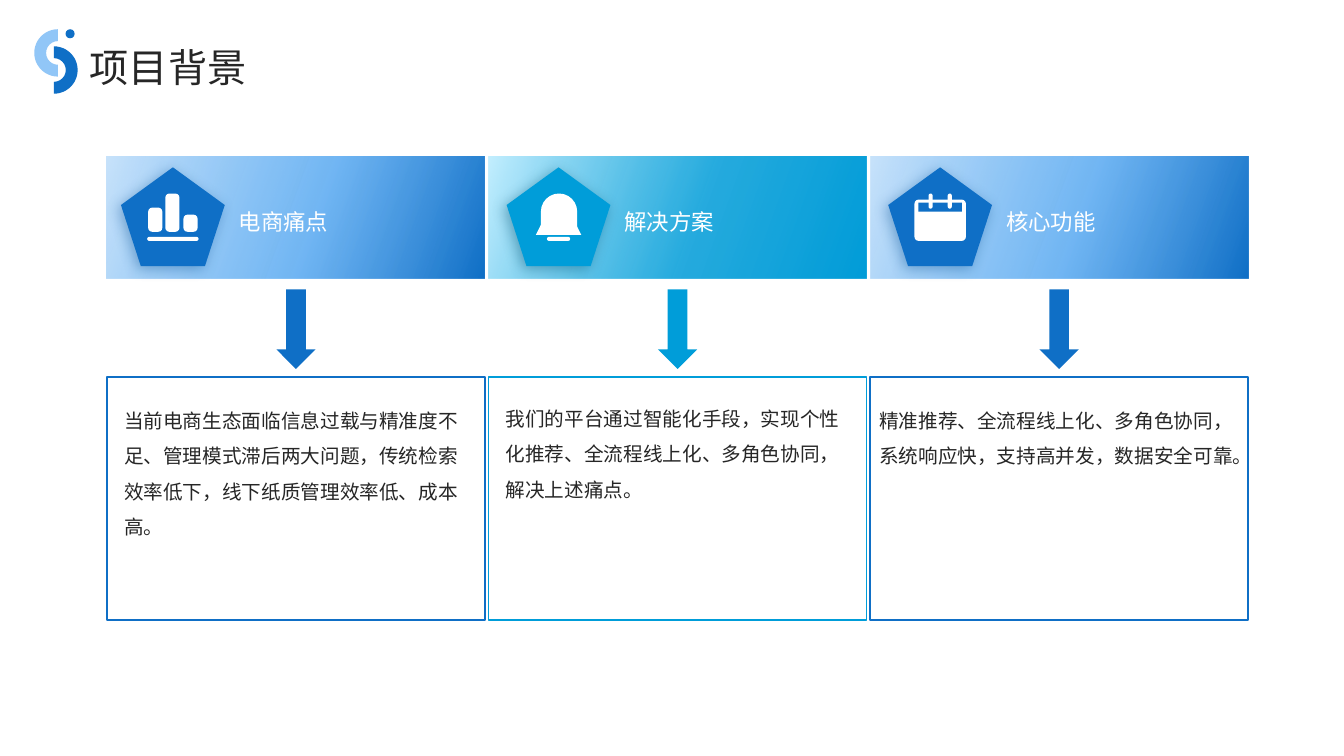
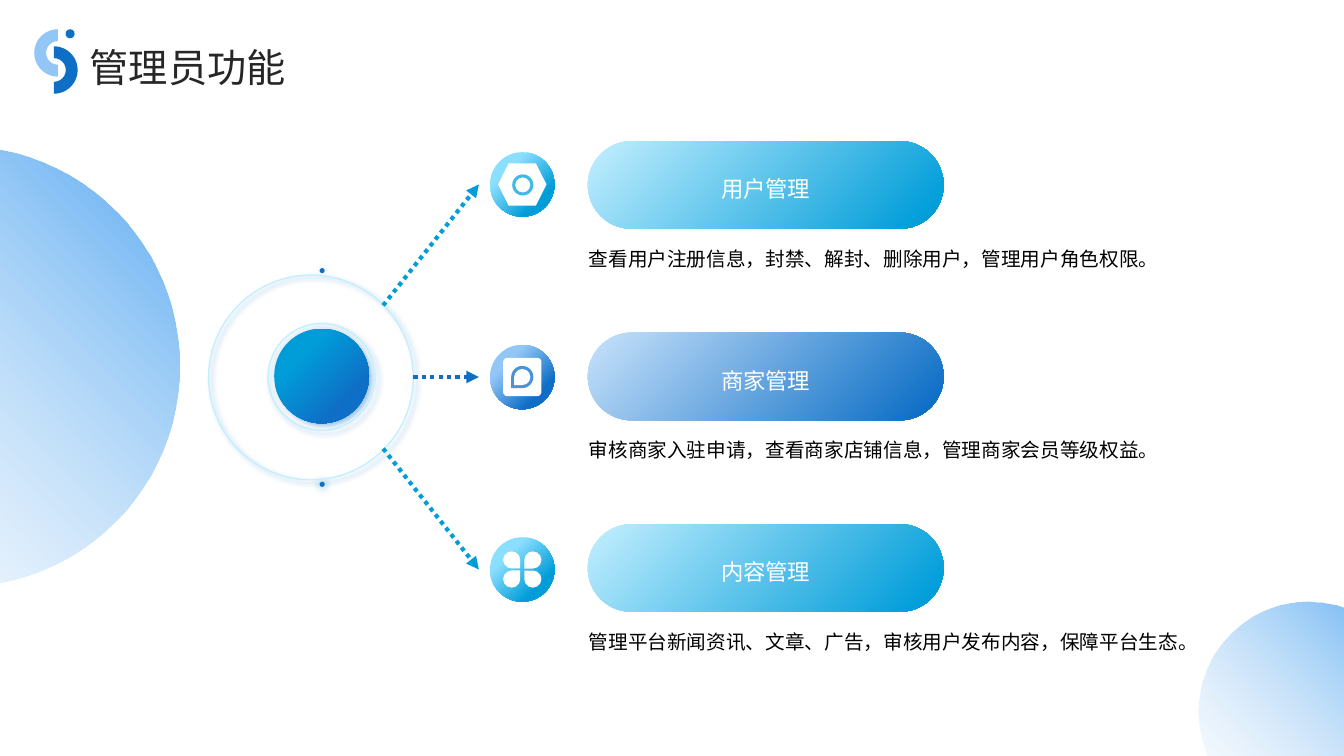
from lxml.etree import SubElement
from pptx import Presentation
from pptx.dml.color import RGBColor
from pptx.enum.dml import MSO_LINE
from pptx.enum.shapes import MSO_CONNECTOR, MSO_SHAPE as S
from pptx.enum.text import MSO_ANCHOR, MSO_AUTO_SIZE, PP_ALIGN
from pptx.oxml.ns import qn
from pptx.util import Inches, Pt

FONT = "Noto Sans CJK SC"
WHITE, BLACK, INK = "FFFFFF", "000000", "262626"
BLUE, SKY, PALE, MIST = "0F6FC6", "91C6F7", "C8E3FB", "59AAF2"
CYAN, AQUA, ICE = "009DD9", "8ADFFF", "C4EFFF"

# Icon parts: shape, left, top, width, height, colour, turn (inches from the icon's corner)
BARS = [
    (S.ROUNDED_RECTANGLE, 0.01, 0.14, 0.14, 0.24, WHITE, 0),
    (S.ROUNDED_RECTANGLE, 0.18, 0, 0.14, 0.38, WHITE, 0),
    (S.ROUNDED_RECTANGLE, 0.36, 0.21, 0.14, 0.17, WHITE, 0),
    (S.ROUNDED_RECTANGLE, 0, 0.43, 0.51, 0.04, WHITE, 0),
]
BELL = [
    (S.ROUND_2_SAME_RECTANGLE, 0.05, 0, 0.36, 0.36, WHITE, 0),
    (S.TRAPEZOID, 0, 0.31, 0.45, 0.1, WHITE, 0),
    (S.ROUNDED_RECTANGLE, 0.11, 0.43, 0.23, 0.04, WHITE, 0),
]
DATES = [
    (S.ROUNDED_RECTANGLE, 0, 0.06, 0.51, 0.41, WHITE, 0),
    (S.RECTANGLE, 0.04, 0.09, 0.43, 0.09, BLUE, 0),
    (S.ROUNDED_RECTANGLE, 0.14, 0, 0.04, 0.15, WHITE, 0),
    (S.ROUNDED_RECTANGLE, 0.33, 0, 0.04, 0.15, WHITE, 0),
]
NUT = [
    (S.HEXAGON, 0, 0, 0.48, 0.42, WHITE, 0),
    (S.DONUT, 0.14, 0.11, 0.21, 0.21, "3FBAE6", 0),
]
PEN = [
    (S.ROUNDED_RECTANGLE, 0, 0, 0.38, 0.38, WHITE, 0),
    (S.TEAR, 0.08, 0.08, 0.22, 0.22, "4A93DB", 180),
    (S.TEAR, 0.11, 0.11, 0.16, 0.16, WHITE, 180),
]
CLOVER = [
    (S.TEAR, x, y, 0.17, 0.17, WHITE, turn)
    for x, y, turn in [(0, 0, 90), (0.21, 0, 180), (0, 0.19, 0), (0.21, 0.19, 270)]
]

# Heading, body, colour, band stops, shadow, pentagon offset, icon, icon offset, pad, body top
BLUE_BAND = [(0, PALE), (55, MIST, 85), (100, BLUE)]
CYAN_BAND = [(0, ICE), (55, CYAN, 85), (100, CYAN)]
COLUMNS = [
    ("电商痛点", "当前电商生态面临信息过载与精准度不足、管理模式滞后两大问题，传统检索效率低下，线下纸质管理效率低、成本高。",
     BLUE, BLUE_BAND, "0B5394", 0.14, BARS, 0.26, 0.17, 3.94),
    ("解决方案", "我们的平台通过智能化手段，实现个性化推荐、全流程线上化、多角色协同，解决上述痛点。",
     CYAN, CYAN_BAND, "004E6C", 0.18, BELL, 0.29, 0.17, 3.92),
    ("核心功能", "精准推荐、全流程线上化、多角色协同，系统响应快，支持高并发，数据安全可靠。",
     BLUE, BLUE_BAND, "0B5394", 0.18, DATES, 0.26, 0.09, 3.94),
]
# Heading, body, pale colour, bright colour, strong colour, icon, icon size, arrow start
DUTIES = [
    ("用户管理", "查看用户注册信息，封禁、解封、删除用户，管理用户角色权限。",
     ICE, AQUA, CYAN, NUT, (0.48, 0.42), 3.8),
    ("商家管理", "审核商家入驻申请，查看商家店铺信息，管理商家会员等级权益。",
     PALE, SKY, BLUE, PEN, (0.38, 0.38), 4.1),
    ("内容管理", "管理平台新闻资讯、文章、广告，审核用户发布内容，保障平台生态。",
     ICE, AQUA, CYAN, CLOVER, (0.38, 0.36), 3.8),
]


def rgb(code):
    return RGBColor.from_string(code)


def tint(parent, code, alpha=100):
    """Add a colour element, with its opacity in percent."""
    node = SubElement(parent, qn("a:srgbClr"), val=code)
    if alpha < 100:
        SubElement(node, qn("a:alpha"), val=str(alpha * 1000))


def blend(shape, stops, angle):
    """Fill with a linear gradient of (percent, colour, opacity) stops."""
    shape.fill.gradient()
    grad = shape._element.spPr.find(qn("a:gradFill"))
    for child in list(grad):
        grad.remove(child)
    group = SubElement(grad, qn("a:gsLst"))
    for pos, *colour in stops:
        tint(SubElement(group, qn("a:gs"), pos=str(pos * 1000)), *colour)
    SubElement(grad, qn("a:lin"), ang=str(angle * 60000), scaled="0")


def draw(slide, kind, x, y, w, h, fill=None, line=None, grad=None, shade=None, turn=0):
    """Add a shape; grad is (stops, angle), shade is (colour, opacity, blur, distance, angle)."""
    shape = slide.shapes.add_shape(kind, Inches(x), Inches(y), Inches(w), Inches(h))
    shape.rotation = turn
    shape.shadow.inherit = False
    if grad:
        blend(shape, *grad)
    elif fill:
        shape.fill.solid()
        shape.fill.fore_color.rgb = rgb(fill)
    else:
        shape.fill.background()
    if line:
        shape.line.color.rgb = rgb(line)
        shape.line.width = Pt(1)
    else:
        shape.line.fill.background()
    if shade:
        code, alpha, blur, dist, angle = shade
        outer = SubElement(
            shape._element.spPr.find(qn("a:effectLst")), qn("a:outerShdw"),
            blurRad=str(Pt(blur)), dist=str(Pt(dist)), dir=str(angle * 60000),
            algn="ctr", rotWithShape="0")
        tint(outer, code, alpha)
    return shape


def write(shape, text, size, colour, gap, align=PP_ALIGN.LEFT, anchor=MSO_ANCHOR.TOP, inset=0):
    frame = shape.text_frame
    frame.word_wrap = True
    frame.auto_size = MSO_AUTO_SIZE.NONE
    frame.vertical_anchor = anchor
    frame.margin_left = frame.margin_right = Inches(inset)
    frame.margin_top = frame.margin_bottom = Inches(inset / 2)
    frame.text = text
    para = frame.paragraphs[0]
    para.alignment = align
    para.line_spacing = gap
    font = para.font
    font.size, font.name = Pt(size), FONT
    font.color.rgb = rgb(colour)
    SubElement(para._p.pPr.find(qn("a:defRPr")), qn("a:ea"), typeface=FONT)


def label(slide, x, y, w, h, *args, **style):
    box = slide.shapes.add_textbox(Inches(x), Inches(y), Inches(w), Inches(h))
    write(box, *args, **style)


def icon(slide, parts, x, y):
    for kind, dx, dy, w, h, colour, turn in parts:
        part = draw(slide, kind, x + dx, y + dy, w, h, colour, turn=turn)
        if kind == S.ROUNDED_RECTANGLE:
            part.adjustments[0] = min(0.5, 0.04 / min(w, h))
        elif kind == S.ROUND_2_SAME_RECTANGLE:
            part.adjustments[0] = 0.5
        elif kind == S.TRAPEZOID:
            part.adjustments[0] = 0.5
        elif kind == S.DONUT:
            part.adjustments[0] = 0.14


def start(deck, text):
    """Add a slide with its title and the ornament beside it."""
    slide = deck.slides.add_slide(deck.slide_layouts[5])
    title = slide.shapes.title
    title.left, title.top = Inches(0.89), Inches(0.29)
    title.width, title.height = Inches(11.35), Inches(0.59)
    write(title, text, 28, INK, 1.3)
    draw(slide, S.BLOCK_ARC, 0.34, 0.29, 0.47, 0.47, SKY, turn=270)
    draw(slide, S.BLOCK_ARC, 0.3, 0.46, 0.47, 0.47, BLUE, turn=90)
    draw(slide, S.OVAL, 0.65, 0.29, 0.09, 0.09, BLUE)
    return slide


def arrow(slide, x1, y1, x2, y2, colour):
    link = slide.shapes.add_connector(
        MSO_CONNECTOR.STRAIGHT, Inches(x1), Inches(y1), Inches(x2), Inches(y2))
    link.line.color.rgb = rgb(colour)
    link.line.width = Pt(3)
    link.line.dash_style = MSO_LINE.ROUND_DOT
    SubElement(link.line._get_or_add_ln(), qn("a:tailEnd"), type="triangle")
    SubElement(link._element.spPr, qn("a:effectLst"))


def causes(deck):
    slide = start(deck, "项目背景")
    left, wide, step = 1.06, 3.75, 3.785
    for i, (head, body, colour, stops, dark, shift, parts, inner, pad, top) in enumerate(COLUMNS):
        x = left + i * step
        draw(slide, S.RECTANGLE, x, 1.55, wide, 1.21, grad=(stops, 20))
        draw(slide, S.RECTANGLE, x, 3.74, wide, 2.41, line=colour)
        draw(slide, S.REGULAR_PENTAGON, x + shift, 1.66, 1.03, 0.98, colour,
             shade=(dark, 40, 10, 3, 135))
        icon(slide, parts, x + shift + inner, 1.92)
        draw(slide, S.DOWN_ARROW, x + (wide - 0.39) / 2, 2.87, 0.39, 0.79, colour)
        label(slide, x + pad, top, wide - 2 * pad, 1.59, body, 14, INK, 1.5)
        label(slide, x + shift + 1.07, 1.69, 2.49, 0.96, head, 16, WHITE, 1.2,
              anchor=MSO_ANCHOR.MIDDLE, inset=0.1)


def duties(deck):
    slide = start(deck, "管理员功能")
    fade = ([(0, MIST), (100, PALE, 0)], 135)
    glow = (BLUE, 40, 4, 3, 45)
    for x, y, size, style in [
        (-2.6, 1.44, 4.38, dict(grad=fade)),
        (11.89, 5.97, 2.18, dict(grad=fade)),
        (2.72, 3.26, 0.94, dict(grad=([(28, CYAN), (76, BLUE)], 45), shade=glow)),
        (2.66, 3.21, 1.06, dict(line=ICE, shade=glow)),
        (3.17, 2.66, 0.05, dict(fill=BLUE, shade=(PALE, 100, 6, 0, 0))),
        (3.17, 4.78, 0.05, dict(fill=BLUE, shade=(CYAN, 100, 6, 0, 0))),
        (2.07, 2.73, 2.03, dict(line=ICE, shade=glow)),
    ]:
        draw(slide, S.OVAL, x, y, size, size, **style)

    middle, step, disc = 3.74, 1.9, 0.64
    for i, (head, body, pale, bright, strong, parts, (w, h), tail) in enumerate(DUTIES):
        row = i - 1
        hub = middle + row * 1.91
        draw(slide, S.OVAL, 4.86, hub - disc / 2, disc, disc,
             grad=([(28, bright), (76, strong)], 45))
        icon(slide, parts, 5.18 - w / 2, hub - h / 2)
        arrow(slide, tail, middle + row * 0.71, 4.75, hub, strong)
        pill = draw(slide, S.ROUNDED_RECTANGLE, 5.83, 3.3 + row * step, 3.53, 0.87,
                    grad=([(0, pale), (94, strong)], 45))
        pill.adjustments[0] = 0.5
        write(pill, head, 16, WHITE, 1.3, PP_ALIGN.CENTER, MSO_ANCHOR.MIDDLE)
        label(slide, 5.84, 4.23 + row * step, 5.97, 0.9, body, 14, BLACK, 1.5)


def main():
    deck = Presentation()
    deck.slide_width, deck.slide_height = Inches(13.33), Inches(7.5)
    causes(deck)
    duties(deck)
    deck.save("out.pptx")


if __name__ == "__main__":
    main()
